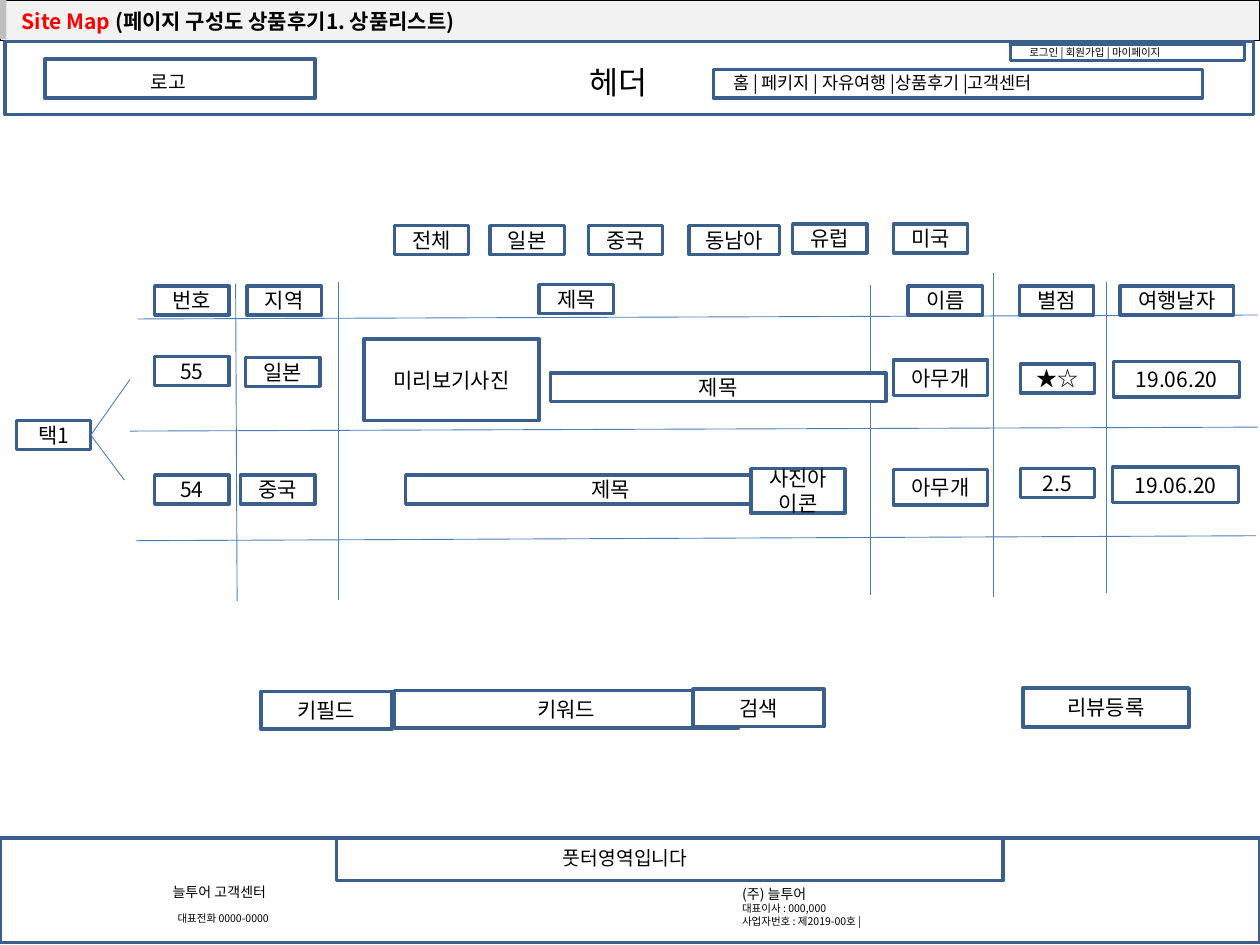
from dataclasses import dataclass

from lxml import etree
from pptx import Presentation
from pptx.dml.color import RGBColor
from pptx.enum import shapes, text
from pptx.oxml import ns
from pptx.util import Cm, Pt


@dataclass(frozen=True)
class Theme:
    font: str = "Noto Sans CJK KR"
    ink: str = "000000"
    accent: str = "FF0000"
    paper: str = "FFFFFF"
    bar: str = "F2F2F2"
    tab: str = "BFBFBF"
    outline: str = "3A5F8C"
    rule: str = "4A7EBB"
    heading: int = 18
    body: int = 12
    label: int = 11
    menu: int = 10
    note: int = 8
    small: int = 6
    outline_width: float = 2
    rule_width: float = 0.5


THEME = Theme()
BUTTON_WIDTH, BUTTON_HEIGHT = 1.5, 0.58


def color(value):
    return RGBColor.from_string(value)


def format_run(run, size, ink=THEME.ink, bold=False):
    run.font.size = Pt(size)
    run.font.bold = bold
    run.font.color.rgb = color(ink)
    run.font.name = THEME.font
    properties = run._r.get_or_add_rPr()
    etree.SubElement(properties, ns.qn("a:ea"), typeface=THEME.font)


def add_box(slide, region, left, top, width, height, label=None, fill=None, outline=THEME.outline):
    shape = slide.shapes.add_shape(
        shapes.MSO_SHAPE.RECTANGLE,
        Cm(region[0] + left), Cm(region[1] + top), Cm(width), Cm(height))
    shape.shadow.inherit = False
    if fill or label:
        shape.fill.solid()
        shape.fill.fore_color.rgb = color(fill or THEME.paper)
    else:
        shape.fill.background()
    if outline:
        shape.line.color.rgb = color(outline)
        shape.line.width = Pt(THEME.outline_width)
    else:
        shape.line.fill.background()
    if label:
        frame = shape.text_frame
        frame.text = label
        frame.word_wrap = True
        frame.vertical_anchor = text.MSO_ANCHOR.MIDDLE
        paragraph = frame.paragraphs[0]
        paragraph.alignment = text.PP_ALIGN.CENTER
        format_run(paragraph.runs[0], THEME.body)
    return shape


def add_button(slide, region, label, left, top, width=BUTTON_WIDTH, height=BUTTON_HEIGHT):
    return add_box(slide, region, left, top, width, height, label)


def add_text(slide, region, left, top, width, height, lines, wrap=True):
    shape = slide.shapes.add_textbox(
        Cm(region[0] + left), Cm(region[1] + top), Cm(width), Cm(height))
    frame = shape.text_frame
    frame.text = "\n".join(line for line, size in lines)
    frame.word_wrap = wrap
    for paragraph, (line, size) in zip(frame.paragraphs, lines):
        format_run(paragraph.runs[0], size)
    return shape


def add_rule(slide, region, left, top, right, bottom):
    connector = slide.shapes.add_connector(
        shapes.MSO_CONNECTOR.STRAIGHT,
        Cm(region[0] + left), Cm(region[1] + top),
        Cm(region[0] + right), Cm(region[1] + bottom))
    connector.line.color.rgb = color(THEME.rule)
    connector.line.width = Pt(THEME.rule_width)
    etree.SubElement(connector._element.spPr, ns.qn("a:effectLst"))
    return connector


def add_title_bar(slide, region):
    table = slide.shapes.add_table(1, 1, *(Cm(length) for length in region)).table
    table.first_row = table.horz_banding = False
    cell = table.cell(0, 0)
    cell.margin_left = Cm(0.44)
    cell.margin_top = cell.margin_bottom = 0
    cell.vertical_anchor = text.MSO_ANCHOR.MIDDLE
    properties = cell._tc.get_or_add_tcPr()
    for side in ("a:lnL", "a:lnR", "a:lnT", "a:lnB"):
        border = etree.SubElement(properties, ns.qn(side), w=str(Pt(0.75)))
        fill = etree.SubElement(border, ns.qn("a:solidFill"))
        etree.SubElement(fill, ns.qn("a:srgbClr"), val=THEME.ink)
    cell.fill.solid()
    cell.fill.fore_color.rgb = color(THEME.bar)
    paragraph = cell.text_frame.paragraphs[0]
    for label, ink in (("Site Map ", THEME.accent),
                       ("(페이지 구성도 상품후기1. 상품리스트)", THEME.ink)):
        run = paragraph.add_run()
        run.text = label
        format_run(run, THEME.body, ink, bold=True)
    add_box(slide, region, 0, 0, 0.13, 0.79, fill=THEME.tab, outline=None)


def add_header(slide, region):
    add_box(slide, region, 0, 0, *region[2:])
    add_box(slide, region, 0.81, 0.35, 5.44, 0.79)
    add_box(slide, region, 14.28, 0.56, 9.86, 0.58)
    add_box(slide, region, 20.27, 0.05, 4.72, 0.33)
    add_text(slide, region, 20.4, -0.03, 4.55, 0.51,
             [("로그인 | 회원가입 | 마이페이지", THEME.small)])
    add_text(slide, region, 11.53, 0.3, 1.78, 1.02, [("헤더", THEME.heading)], wrap=False)
    add_text(slide, region, 2.69, 0.46, 1.27, 0.71, [("로고", THEME.label)], wrap=False)
    add_text(slide, region, 14.43, 0.48, 10.29, 0.69,
             [("홈 | 페키지 | 자유여행 |상품후기 |고객센터", THEME.menu)])


def add_board(slide, region):
    for ends in (
        (2.77, 1.93, 25.35, 1.85), (2.62, 4.19, 25.35, 4.11), (2.74, 6.4, 25.32, 6.3),
        (4.75, 1.22, 4.78, 7.62), (6.83, 1.19, 6.83, 7.59), (17.55, 1.24, 17.55, 7.49),
        (20.02, 1.01, 20.02, 7.54), (22.3, 1.19, 22.3, 7.46),
    ):
        add_rule(slide, region, *ends)

    filters = (("전체", 7.95, 0.05), ("일본", 9.88, 0.05), ("중국", 11.86, 0.05),
               ("동남아", 13.89, 0.05, 1.83), ("유럽", 15.98, 0.02), ("미국", 18.01, 0.02))
    headings = (("번호", 3.12, 1.27), ("지역", 4.98, 1.27), ("제목", 10.87, 1.24),
                ("이름", 18.31, 1.27), ("별점", 20.55, 1.27), ("여행날자", 22.58, 1.27, 2.29))
    first_review = (("55", 3.12, 2.69), ("일본", 4.95, 2.71), ("제목", 11.1, 3.02, 6.76),
                    ("미리보기사진", 7.34, 2.33, 3.53, 1.65), ("아무개", 18.01, 2.76, 1.9, 0.71),
                    ("★☆", 20.57, 2.84), ("19.06.20", 22.45, 2.79, 2.54, 0.71))
    second_review = (("54", 3.12, 5.08), ("중국", 4.85, 5.08), ("제목", 8.18, 5.08, 8.25),
                     ("사진아이콘", 15.14, 4.95, 1.9, 0.89), ("아무개", 18.01, 4.97, 1.9, 0.71),
                     ("2.5", 20.57, 4.95), ("19.06.20", 22.43, 4.92, 2.54, 0.71))
    for row in (filters, headings, first_review, second_review):
        for button in row:
            add_button(slide, region, *button)

    tag = add_button(slide, region, "택1", 0.33, 3.98)
    for right, bottom in ((2.62, 3.15), (2.51, 5.18)):
        branch = add_rule(slide, region, 1.83, 4.27, right, bottom)
        branch.begin_connect(tag, 3)


def add_search(slide, region):
    for button in (("키필드", 0, 0.07, 2.64, 0.76), ("키워드", 2.69, 0.05, 6.93, 0.76),
                   ("검색", 8.71, 0.02, 2.64, 0.76), ("리뷰등록", 15.36, 0, 3.35, 0.79)):
        add_button(slide, region, *button)


def add_footer(slide, region):
    add_box(slide, region, 0, 0, *region[2:])
    add_box(slide, region, 6.78, 0, 13.44, 0.86)
    add_text(slide, region, 11.1, 0.05, 3.35, 0.71, [("풋터영역입니다", THEME.label)])
    contact = add_text(slide, region, 3.23, 0.79, 5.16, 1.09,
                       [("늘투어 고객센터", THEME.note), ("대표전화 0000-0000", THEME.small)])
    phone = contact.text_frame.paragraphs[1]
    phone.space_before = Pt(7)
    phone._p.get_or_add_pPr().set("marL", str(Cm(0.1)))
    add_text(slide, region, 14.71, 0.84, 7.47, 1.09,
             [("(주) 늘투어", THEME.note), ("대표이사 : 000,000", THEME.small),
              ("사업자번호 : 제2019-00호 |", THEME.small)])


def main():
    presentation = Presentation()
    presentation.slide_width, presentation.slide_height = Cm(25.4), Cm(19.05)
    slide = presentation.slides.add_slide(presentation.slide_layouts[6])
    add_title_bar(slide, (0, 0, 25.4, 0.81))
    add_header(slide, (0.1, 0.84, 25.17, 1.47))
    add_search(slide, (5.26, 13.87, 18.72, 0.86))
    add_board(slide, (0, 4.5, 25.4, 7.7))
    add_footer(slide, (0, 16.89, 25.4, 2.11))
    presentation.save("out.pptx")


if __name__ == "__main__":
    main()
